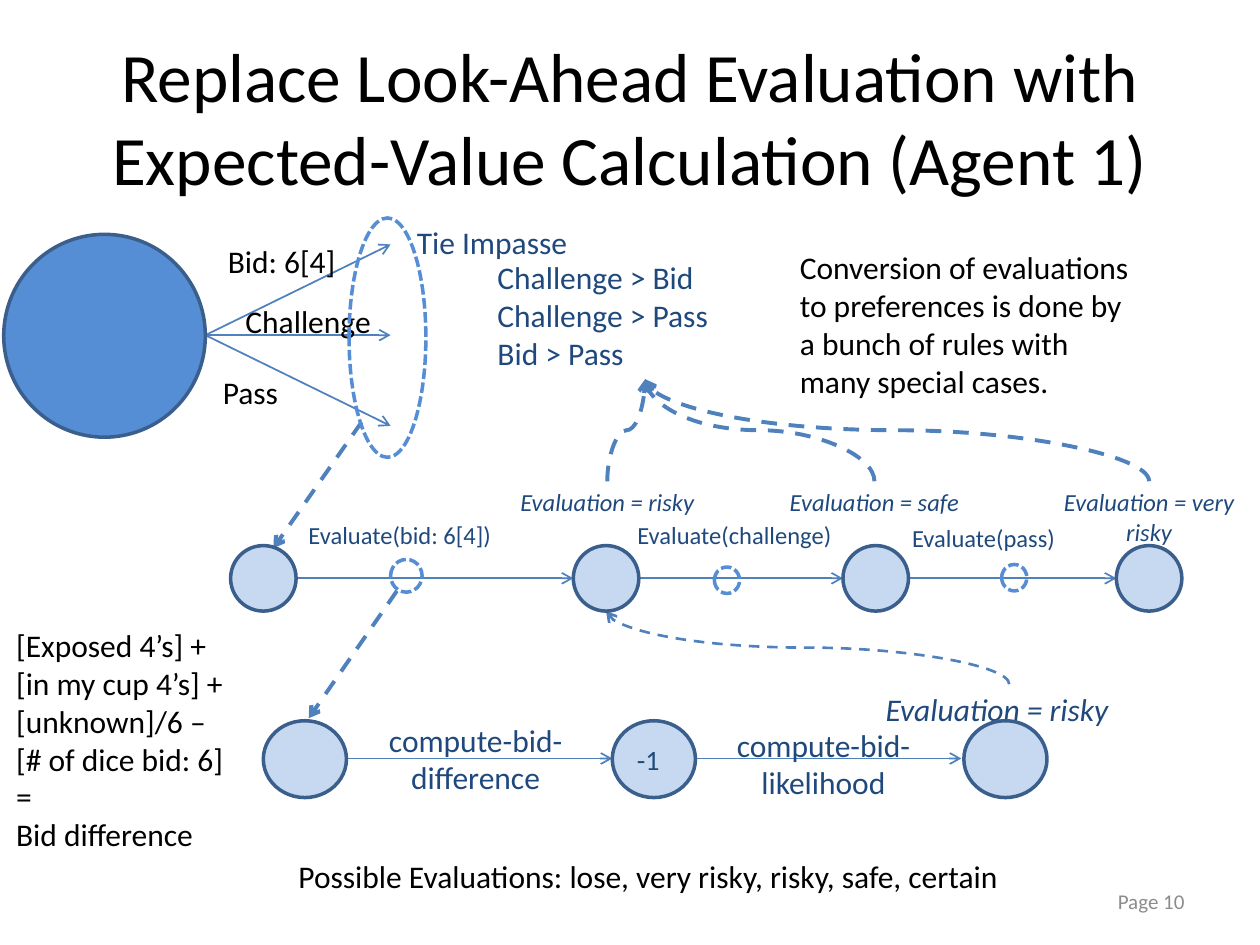
import pptx
import pptx.util
import pptx.dml.color
import pptx.enum.dml
import pptx.enum.shapes
import pptx.enum.text
import pptx.oxml
import pptx.oxml.ns
from dataclasses import dataclass

Inches, Pt = pptx.util.Inches, pptx.util.Pt
RGB = pptx.dml.color.RGBColor.from_string
DASH = pptx.enum.dml.MSO_LINE
ALIGN = pptx.enum.text.PP_ALIGN
ANCHOR = pptx.enum.text.MSO_ANCHOR
FIT = pptx.enum.text.MSO_AUTO_SIZE
CONNECTOR = pptx.enum.shapes.MSO_CONNECTOR
OVAL = pptx.enum.shapes.MSO_SHAPE.OVAL


@dataclass(frozen=True)
class Theme:
    font: str = "Calibri"
    black: str = "000000"
    gray: str = "8C8C8C"
    navy: str = "1F497D"
    arrow: str = "4F81BD"
    outline: str = "3A5F8C"
    state: str = "558ED5"
    substate: str = "C6D9F1"
    title: float = 39.6
    body: float = 18
    node: float = 16
    label: float = 14
    footer: float = 12


T = Theme()


def write(tf, text, size=T.body, color=T.black, italic=False, align=ALIGN.LEFT,
          anchor=ANCHOR.TOP, fit=FIT.SHAPE_TO_FIT_TEXT, wrap=True):
    """Fill a text frame, one paragraph for each line of text."""
    tf.text = text
    tf.word_wrap, tf.auto_size, tf.vertical_anchor = wrap, fit, anchor
    for p in tf.paragraphs:
        p.alignment = align
        for r in p.runs:
            r.font.name, r.font.size, r.font.italic = T.font, Pt(size), italic
            r.font.color.rgb = RGB(color)


def arrow(start, end, width=1, dash=None, curved=False):
    """Draw an arrow; a curved one leaves and arrives vertically, going up."""
    (x1, y1), (x2, y2) = start, end
    kind = CONNECTOR.STRAIGHT
    if curved:
        # Lay the curve on its side around its centre; the rotation below raises it.
        kind = CONNECTOR.CURVE
        cx, cy, dx, rise = (x1 + x2) / 2, (y1 + y2) / 2, x2 - x1, y1 - y2
        x1, y1, x2, y2 = cx - rise / 2, cy - dx / 2, cx + rise / 2, cy + dx / 2
    c = s.shapes.add_connector(kind, Inches(x1), Inches(y1), Inches(x2), Inches(y2))
    c.line.color.rgb, c.line.width = RGB(T.arrow), Pt(width)
    if dash:
        c.line.dash_style = dash
    sp_pr = c._element.spPr
    if curved:
        sp_pr.find(pptx.oxml.ns.qn("a:xfrm")).set("rot", str(270 * 60000))
    ns = pptx.oxml.ns.nsdecls("a")
    c.line._get_or_add_ln().append(pptx.oxml.parse_xml(f'<a:tailEnd {ns} type="arrow"/>'))
    sp_pr.append(pptx.oxml.parse_xml(f"<a:effectLst {ns}/>"))


prs = pptx.Presentation()
prs.slide_width, prs.slide_height = Inches(10), Inches(7.5)
s = prs.slides.add_slide(prs.slide_layouts[5])

title = s.shapes.title
title.left, title.top, title.width, title.height = map(Inches, (0.5, 0.3, 9, 1.25))
write(title.text_frame, "Replace Look-Ahead Evaluation with\vExpected-Value Calculation (Agent 1)",
      size=T.title, align=ALIGN.CENTER, anchor=ANCHOR.MIDDLE, fit=FIT.NONE)

# Arrows
step_y, compute_y = 4.59, 6.02
for y in (1.94, 2.66, 3.38):
    arrow((1.63, 2.66), (3.1, y))
for x1, x2 in ((2.35, 4.55), (5.07, 6.69), (7.21, 8.86)):
    arrow((x1, step_y), (x2, step_y))
for x1, x2 in ((2.75, 4.86), (5.52, 7.63)):
    arrow((x1, compute_y), (x2, compute_y))
for start, end in (((2.87, 3.35), (2.17, 4.35)), ((3.15, 4.69), (2.45, 5.7))):
    arrow(start, end, 2.25, DASH.DASH)
for x in (6.94, 9.12, 4.82):
    arrow((x, 3.82), (5.12, 3.01), 2.25, DASH.DASH, curved=True)
arrow((8.01, 5.43), (4.81, 4.85), 1.5, DASH.DASH, curved=True)

# Text
navy = dict(color=T.navy)
step = dict(navy, size=T.label)
result = dict(step, italic=True, align=ALIGN.CENTER)
operator = dict(navy, align=ALIGN.CENTER)
formula = "[Exposed 4’s] +\n[in my cup 4’s] +\n[unknown]/6 –\n[# of dice bid: 6]\n=\nBid difference"
for box, text, fmt in (
    ((1.71, 1.87, 1.37, 0.4), "Bid: 6[4]", {}),
    ((1.85, 2.35, 1.37, 0.4), "Challenge", {}),
    ((1.67, 2.91, 1.37, 0.4), "Pass", {}),
    ((3.21, 1.72, 1.43, 0.4), "Tie Impasse", navy),
    ((3.85, 2, 2.54, 1.01), "Challenge > Bid\nChallenge > Pass\nBid > Pass", navy),
    ((6.25, 1.92, 2.87, 1.31), "Conversion of evaluations to preferences is done by "
     "a bunch of rules with many special cases.", {}),
    ((3.94, 3.82, 1.76, 0.34), "Evaluation = risky", result),
    ((6.06, 3.82, 1.76, 0.34), "Evaluation = safe", result),
    ((8.24, 3.82, 1.76, 0.57), "Evaluation = very risky", result),
    ((2.35, 4.08, 2.37, 0.34), "Evaluate(bid: 6[4])", step),
    ((4.96, 4.08, 2.37, 0.34), "Evaluate(challenge)", step),
    ((7.14, 4.1, 1.91, 0.34), "Evaluate(pass)", step),
    ((2.43, 5.67, 2.69, 0.63), "compute-bid-\ndifference", operator),
    ((5.19, 5.71, 2.69, 0.71), "compute-bid-\nlikelihood", operator),
    ((6.93, 5.43, 2.16, 0.4), "Evaluation = risky", dict(navy, italic=True)),
    ((0.03, 4.92, 2.5, 2.22), formula, {}),
    ((2.27, 6.75, 5.97, 0.4), "Possible Evaluations: lose, very risky, risky, safe, certain",
     dict(wrap=False)),
    ((7.17, 6.95, 2.33, 0.4), "Page 10", dict(size=T.footer, color=T.gray, align=ALIGN.RIGHT,
                                              anchor=ANCHOR.MIDDLE, fit=FIT.NONE)),
):
    write(s.shapes.add_textbox(*map(Inches, box)).text_frame, text, **fmt)

# States are filled; impasses are dashed outlines
states = [((0.03, 1.86, 1.6, 1.61), T.state, "")]
states += [((x, 4.33, 0.52, 0.52), T.substate, "") for x in (1.83, 4.55, 6.69, 8.86)]
states += [((x, 5.72, 0.66, 0.61), T.substate, value)
           for x, value in ((2.09, ""), (4.86, "-1"), (7.65, ""))]
impasses = [(box, None, "") for box in ((2.77, 1.73, 0.61, 1.9), (3.1, 4.44, 0.25, 0.26),
                                        (5.67, 4.5, 0.2, 0.21), (7.95, 4.48, 0.2, 0.21))]
for box, fill, value in states + impasses:
    sp = s.shapes.add_shape(OVAL, *map(Inches, box))
    sp.shadow.inherit = False
    sp.line.width = Pt(2)
    if fill:
        sp.fill.solid()
        sp.fill.fore_color.rgb = RGB(fill)
        sp.line.color.rgb = RGB(T.outline)
    else:
        sp.fill.background()
        sp.line.color.rgb = RGB(T.state)
        sp.line.dash_style = DASH.SQUARE_DOT
    if value:
        write(sp.text_frame, value, size=T.node, color=T.navy, anchor=ANCHOR.MIDDLE, fit=FIT.NONE)

prs.save("out.pptx")
